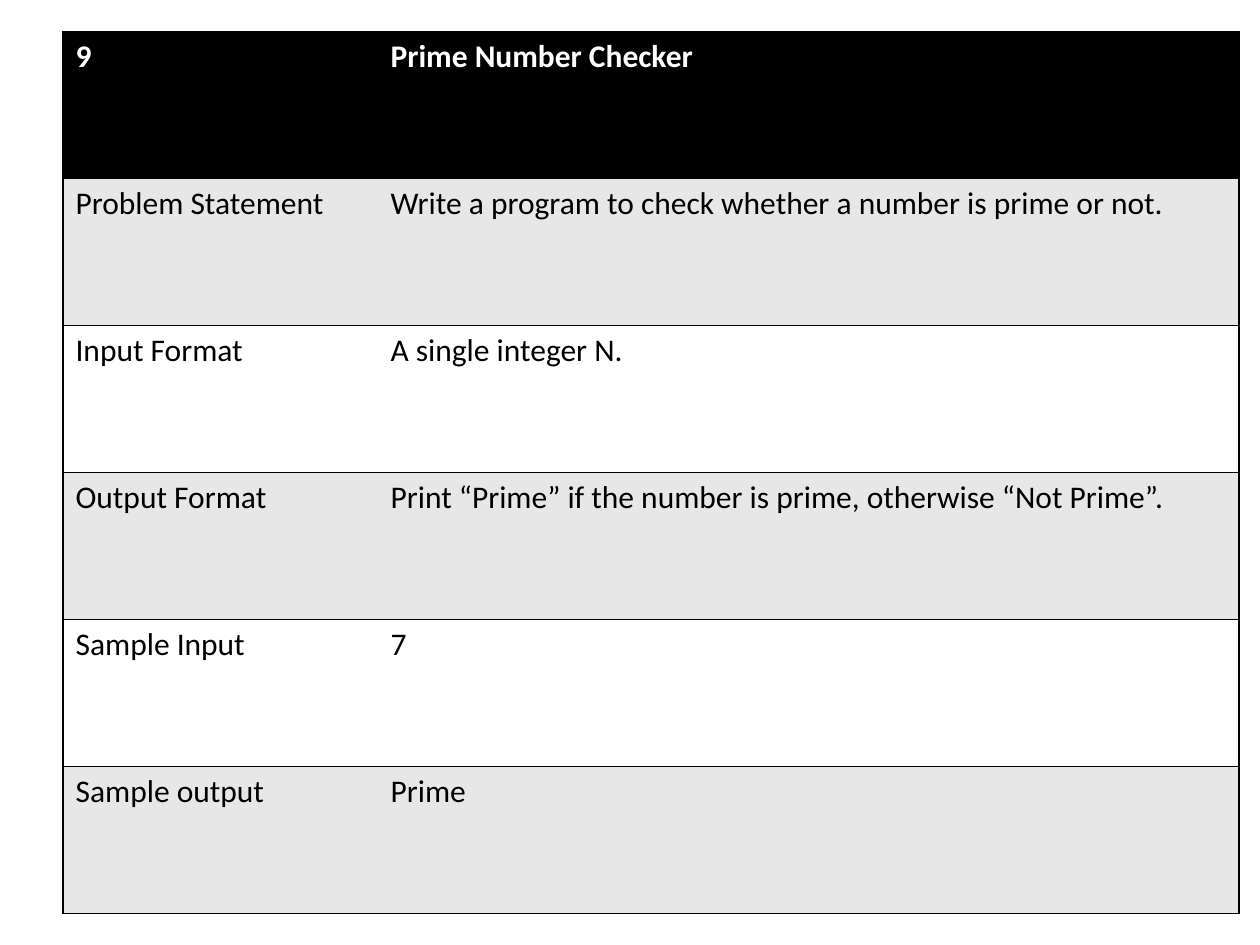
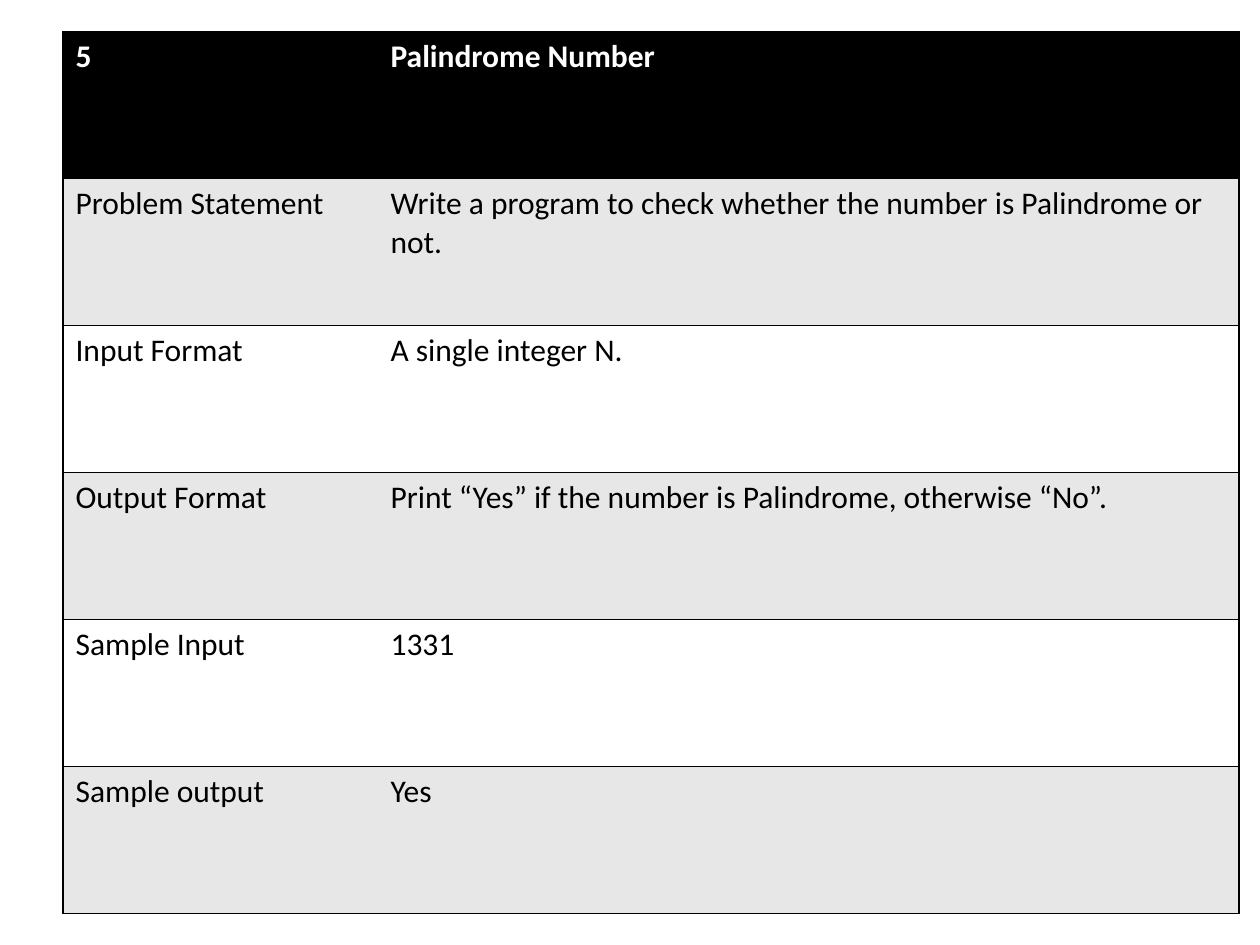
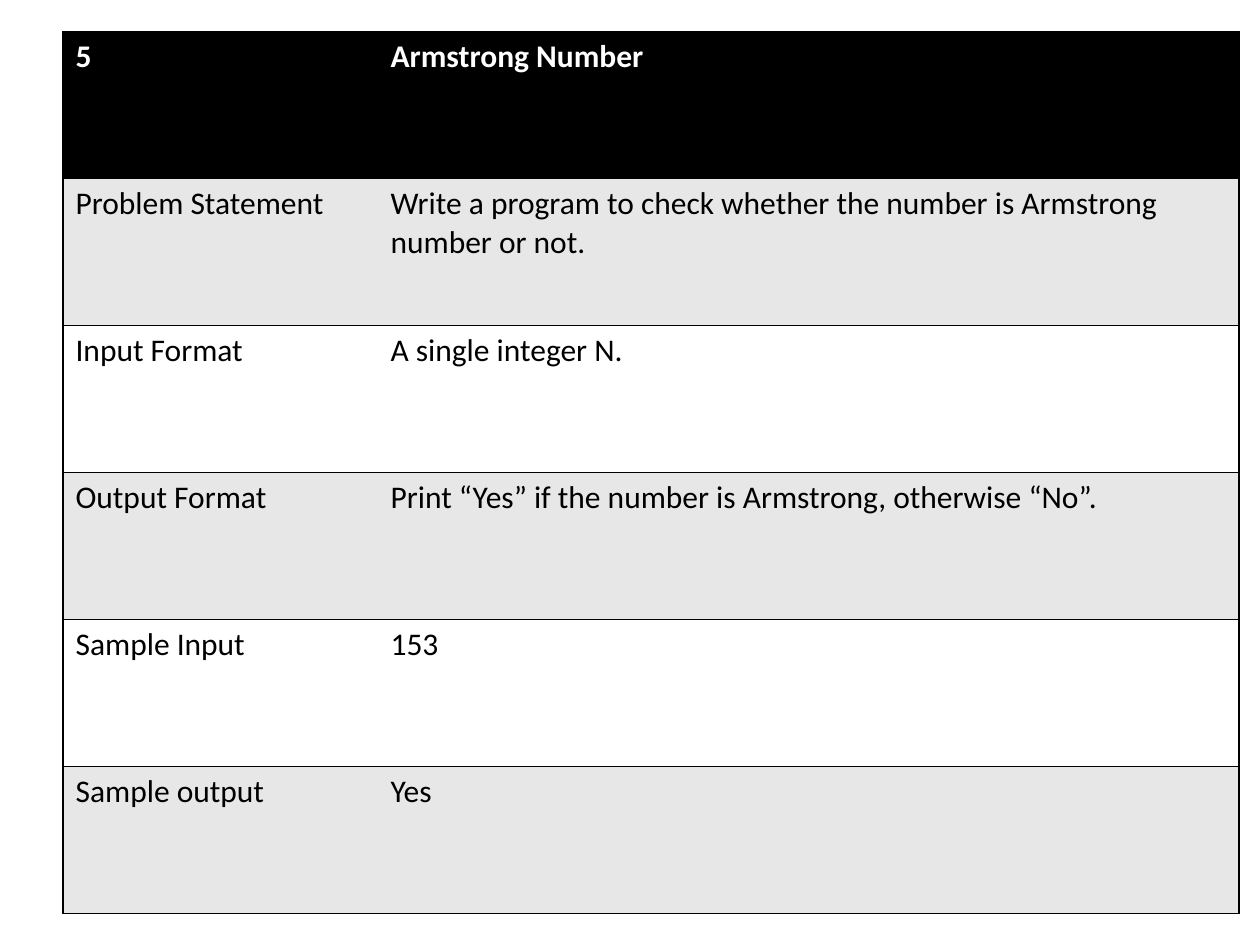
from lxml import etree
from pptx import Presentation
from pptx.dml.color import RGBColor
from pptx.oxml import ns
from pptx.util import Pt

BLACK = RGBColor(0x00, 0x00, 0x00)
WHITE = RGBColor(0xFF, 0xFF, 0xFF)
GREY = RGBColor(0xE7, 0xE7, 0xE7)

LABELS = ["Problem Statement", "Input Format", "Output Format",
          "Sample Input", "Sample output"]
TASKS = [
    ("9", "Prime Number Checker",
     "Write a program to check whether a number is prime or not.",
     "A single integer N.",
     "Print “Prime” if the number is prime, otherwise “Not Prime”.",
     "7", "Prime"),
    ("5", "Palindrome Number",
     "Write a program to check whether the number is Palindrome or not.",
     "A single integer N.",
     "Print “Yes” if the number is Palindrome, otherwise “No”.",
     "1331", "Yes"),
    ("5", "Armstrong Number",
     "Write a program to check whether the number is Armstrong number or not.",
     "A single integer N.",
     "Print “Yes” if the number is Armstrong, otherwise “No”.",
     "153", "Yes"),
]


class Deck:
    font = "Calibri"
    size = Pt(18)
    rule = Pt(1)
    left, top = Pt(36), Pt(18)
    widths = [Pt(180), Pt(492)]
    height = Pt(84)

    def __init__(self):
        self.prs = Presentation()
        self.prs.slide_width, self.prs.slide_height = Pt(720), Pt(540)
        self.slide = None

    def page(self):
        self.slide = self.prs.slides.add_slide(self.prs.slide_layouts[6])

    def table(self, rows):
        frame = self.slide.shapes.add_table(
            len(rows), len(self.widths), self.left, self.top,
            sum(self.widths), self.height * len(rows))
        grid = frame.table
        for col, width in zip(grid.columns, self.widths):
            col.width = width
        for r, row in enumerate(rows):
            grid.rows[r].height = self.height
            for c, words in enumerate(row):
                self.cell(grid.cell(r, c), words, r, c)

    def cell(self, cell, words, r, c):
        self.edges(cell, "LTB" if c == 0 else "RTB")
        head = r == 0
        cell.fill.solid()
        cell.fill.fore_color.rgb = BLACK if head else GREY if r % 2 else WHITE
        cell.text_frame.text = words
        font = cell.text_frame.paragraphs[0].runs[0].font
        font.name, font.size, font.bold = self.font, self.size, head
        font.color.rgb = WHITE if head else BLACK

    def edges(self, cell, drawn):
        """Rule the drawn sides (letters of LRTB) and clear the others."""
        props = cell._tc.get_or_add_tcPr()
        for side in "LRTB":
            line = etree.SubElement(props, ns.qn(f"a:ln{side}"), w=str(self.rule))
            if side in drawn:
                fill = etree.SubElement(line, ns.qn("a:solidFill"))
                etree.SubElement(fill, ns.qn("a:srgbClr"), val=str(BLACK))
            else:
                etree.SubElement(line, ns.qn("a:noFill"))


def main():
    deck = Deck()
    for number, title, *facts in TASKS:
        deck.page()
        deck.table([(number, title), *zip(LABELS, facts)])
    deck.prs.save("out.pptx")


if __name__ == "__main__":
    main()
